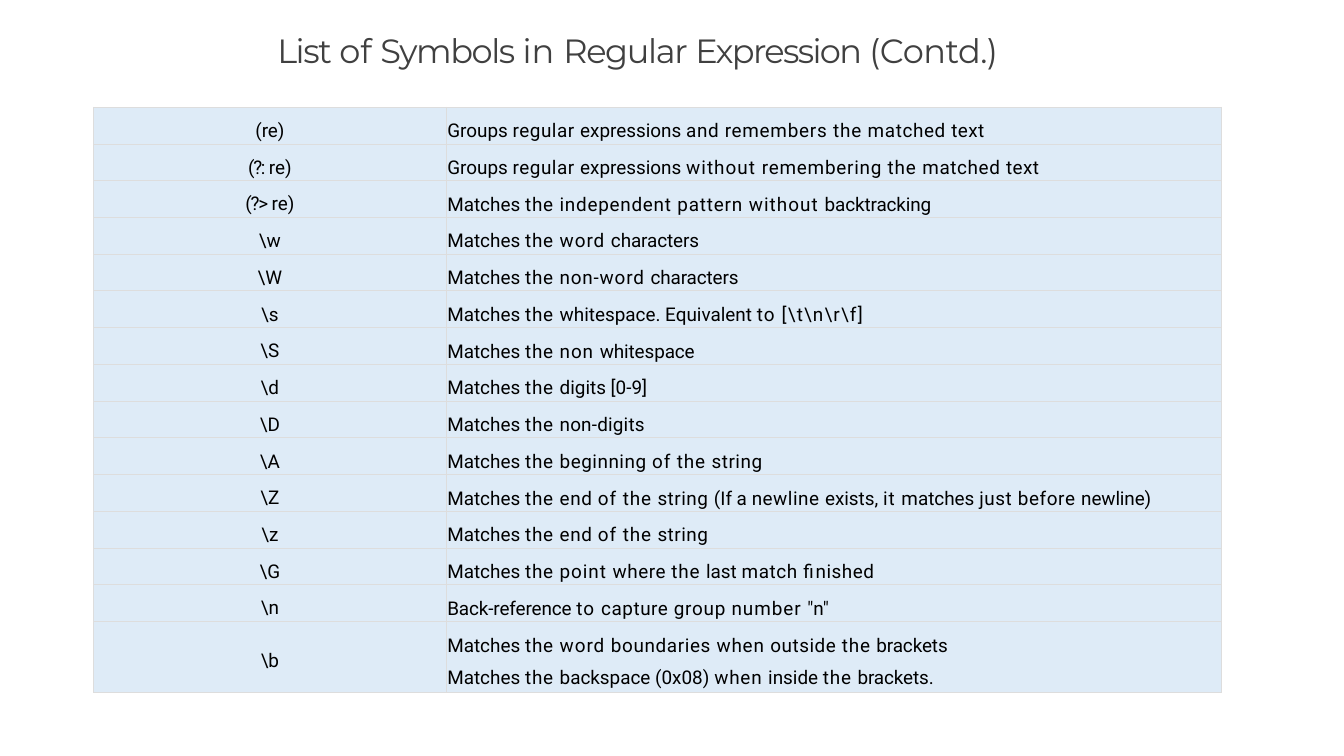
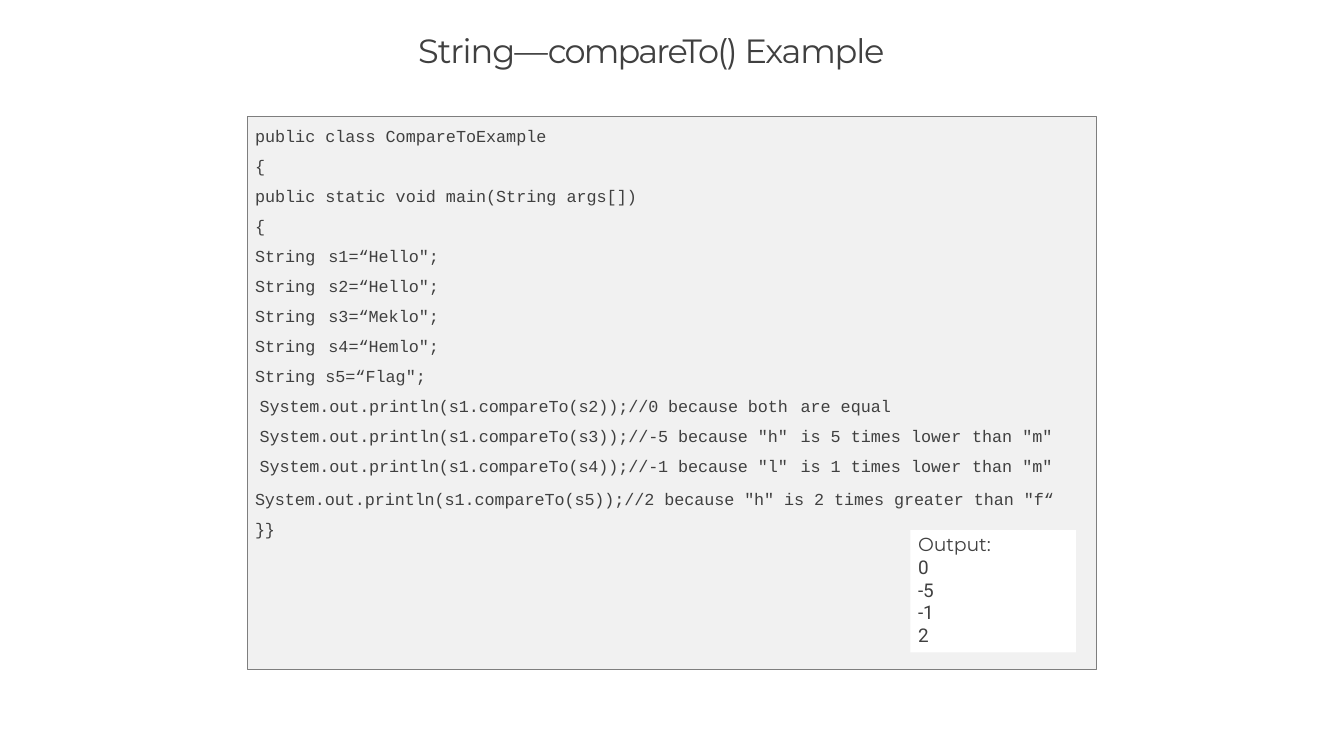
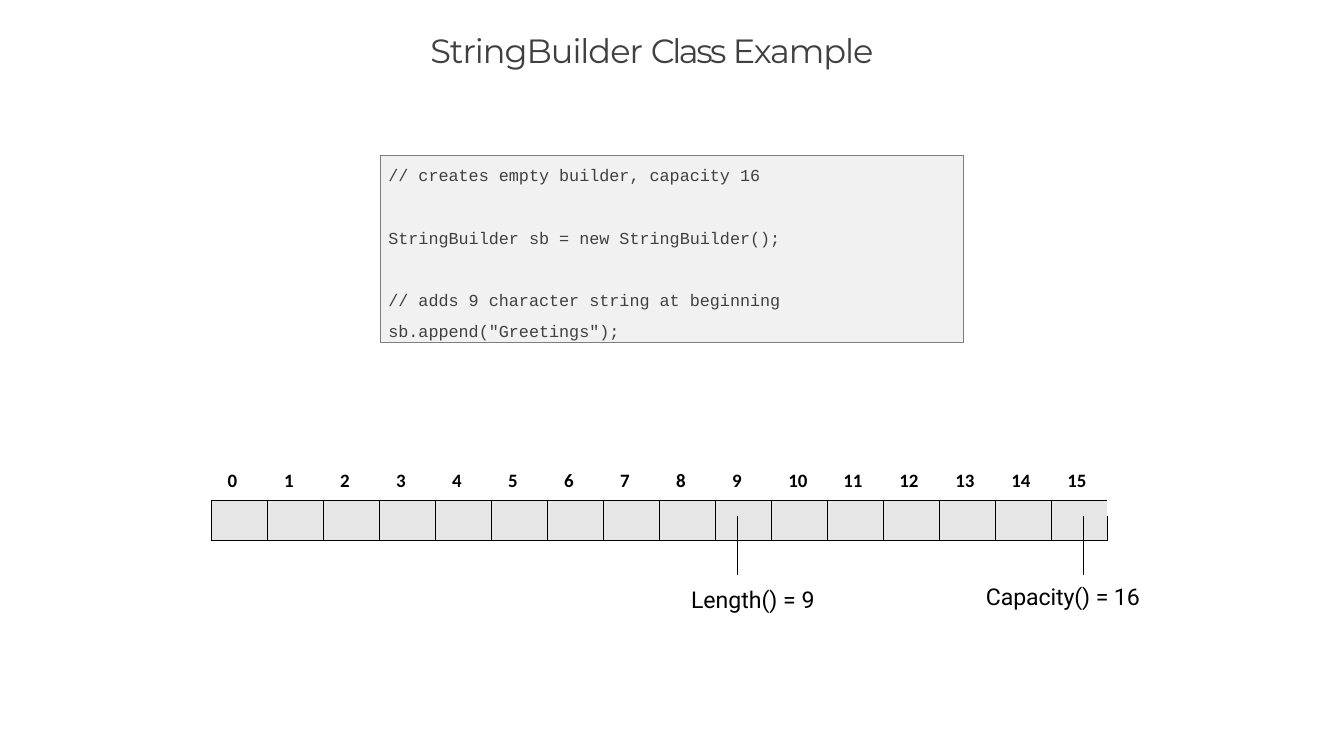
from itertools import groupby

from lxml.etree import SubElement, fromstring
from pptx import Presentation
from pptx.dml.color import RGBColor
from pptx.enum.shapes import MSO_SHAPE as SHAPE
from pptx.enum.text import MSO_ANCHOR as ANCHOR, MSO_AUTO_SIZE as FIT, PP_ALIGN as AL
from pptx.oxml.ns import nsdecls, qn
from pptx.util import Cm, Pt

INK, BLACK, GREY, EDGE = "404040", "000000", "F1F1F1", "7E7E7E"
HEAD, BODY, CODE, DIGITS = "Montserrat", "Roboto", "Courier New", "Calibri"

TRACKING = {
    -1.2: "(?: (?>",
    -0.1: "backtracking characters whitespace brackets brackets. newline) Back-reference",
    0.2: "non-digits",
    0.4: "text",
    0.5: "regular beginning newline where string finished outside capture",
    0.6: "and matched boundaries match end just before",
    0.7: "remembers remembering independent group",
    0.8: "the pattern when non-word",
    0.9: "word of non it point number",
    1: "without",
    1.1: r"to [\t\n\r\f]",
}
WORD_SPC = {w: spc for spc, words in TRACKING.items() for w in words.split()}

SYMBOLS = [
    ("(re)", "Groups regular expressions and remembers the matched text"),
    ("(?: re)", "Groups regular expressions without remembering the matched text"),
    ("(?> re)", "Matches the independent pattern without backtracking"),
    (r"\w", "Matches the word characters"),
    (r"\W", "Matches the non-word characters"),
    (r"\s", r"Matches the whitespace. Equivalent to [\t\n\r\f]"),
    (r"\S", "Matches the non whitespace"),
    (r"\d", "Matches the digits [0-9]"),
    (r"\D", "Matches the non-digits"),
    (r"\A", "Matches the beginning of the string"),
    (r"\Z", "Matches the end of the string (If a newline exists, it matches just before newline)"),
    (r"\z", "Matches the end of the string"),
    (r"\G", "Matches the point where the last match finished"),
    (r"\n", 'Back-reference to capture group number "n"'),
    (r"\b", "Matches the word boundaries when outside the brackets",
     "Matches the backspace (0x08) when inside the brackets."),
]

WORDS = ["Hello", "Hello", "Meklo", "Hemlo"]
COMPARE_CODE = [
    "public class CompareToExample", "{",
    "public static void main(String args[])", "{",
    *([("String", 0), (" ", 2.9), (f's{i}=“{word}";', 0)] for i, word in enumerate(WORDS, 1)),
    'String s5=“Flag";',
]
COMPARE_CALLS = [
    ("System.out.println(s1.compareTo(s2));//0 because both", "are equal", ""),
    ('System.out.println(s1.compareTo(s3));//-5 because "h"', "is 5 times lower", 'than "m"'),
    ('System.out.println(s1.compareTo(s4));//-1 because "l"', "is 1 times lower", 'than "m"'),
]
BUILDER_CODE = [
    "// creates empty builder, capacity 16",
    "StringBuilder sb = new StringBuilder();",
    "// adds 9 character string at beginning",
    'sb.append("Greetings");',
]


def rgb(color):
    return RGBColor.from_string(color)


def tracked(text):
    words = text.split(" ")
    tokens = [(w + " ", WORD_SPC.get(w, 0)) for w in words[:-1]]
    tokens.append((words[-1], WORD_SPC.get(words[-1], 0)))
    return [("".join(t for t, _ in run), spc)
            for spc, run in groupby(tokens, key=lambda token: token[1])]


def write(tf, paras, font=BODY, size=18, color=BLACK, bold=False, spc=0,
          align=AL.LEFT, indent=0, line=None, before=()):
    for i, runs in enumerate(paras):
        p = tf.paragraphs[0] if i == 0 else tf.add_paragraph()
        p.alignment = align
        p.space_before = Pt(before[i] if before else 0)
        if line:
            p.line_spacing = Pt(line)
        pPr = p._p.get_or_add_pPr()
        pPr.set("marL", str(Cm(indent)))
        pPr.set("indent", "0")
        for text, run_spc in [(runs, spc)] if isinstance(runs, str) else runs:
            r = p.add_run()
            r.text = text
            r.font.name, r.font.size, r.font.bold = font, Pt(size), bold
            r.font.color.rgb = rgb(color)
            r._r.get_or_add_rPr().set("spc", str(round(run_spc * 100)))
    return tf


def set_borders(cell, color, widths):
    tcPr = cell._tc.get_or_add_tcPr()
    for i, (side, width) in enumerate(zip("LRTB", widths)):
        paint = (f'<a:solidFill><a:srgbClr val="{color}"/></a:solidFill>'
                 if color and width else "<a:noFill/>")
        tcPr.insert(i, fromstring(
            f'<a:ln{side} {nsdecls("a")} w="{Pt(width)}">{paint}</a:ln{side}>'))


class Deck:
    def __init__(self):
        self.prs = Presentation()
        self.prs.slide_width, self.prs.slide_height = Cm(45.16), Cm(25.4)
        self.slide = None

    def new_slide(self, runs, x=8.51, w=28.17, h=1.65, indent=0):
        self.slide = self.prs.slides.add_slide(self.prs.slide_layouts[5])
        sp = self.slide.shapes.title
        sp.left, sp.top, sp.width, sp.height = Cm(x), Cm(0.97), Cm(w), Cm(h)
        write(self.frame(sp, 0.03), [runs], font=HEAD, size=32, color=INK, indent=indent)

    def frame(self, sp, top):
        tf = sp.text_frame
        tf.word_wrap, tf.auto_size, tf.vertical_anchor = True, FIT.NONE, ANCHOR.TOP
        tf.margin_left = tf.margin_right = tf.margin_bottom = 0
        tf.margin_top = Cm(top)
        return tf

    def text(self, x, y, w, h, paras, top=0.03, **fmt):
        sp = self.slide.shapes.add_textbox(Cm(x), Cm(y), Cm(w), Cm(h))
        return write(self.frame(sp, top), paras, **fmt)

    def box(self, x, y, w, h, fill, edge=None, paras=(), top=0, **fmt):
        sp = self.slide.shapes.add_shape(SHAPE.RECTANGLE, Cm(x), Cm(y), Cm(w), Cm(h))
        sp.shadow.inherit = False
        sp.fill.solid()
        sp.fill.fore_color.rgb = rgb(fill)
        if edge:
            sp.line.color.rgb = rgb(edge)
            sp.line.width = Pt(0.72)
        else:
            sp.line.fill.background()
        return write(self.frame(sp, top), paras, **fmt)

    def table(self, x, y, cols, rows, border=None, fill_at=lambda i: None,
              widths_at=lambda i, j: [0.75] * 4):
        table = self.slide.shapes.add_table(
            len(rows), len(cols), Cm(x), Cm(y), Cm(sum(cols)), Cm(sum(rows))).table
        table.first_row = table.horz_banding = False
        for col, w in zip(table.columns, cols):
            col.width = Cm(w)
        for i, (row, h) in enumerate(zip(table.rows, rows)):
            row.height = Cm(h)
            for j, cell in enumerate(row.cells):
                cell.margin_left = cell.margin_right = cell.margin_top = cell.margin_bottom = 0
                if fill_at(i):
                    cell.fill.solid()
                    cell.fill.fore_color.rgb = rgb(fill_at(i))
                else:
                    cell.fill.background()
                set_borders(cell, border, widths_at(i, j))
        return table


def symbols_slide(deck):
    deck.new_slide([("List ", -1.4), ("of ", -0.1), ("Symbols ", -1.4), ("in ", 0),
                    ("Regular ", -1.3), ("Expression ", -1.6), ("(Contd.)", -0.5)], indent=0.81)
    last = 2.38
    rows = [(19.66 - last) / 14] * 14 + [last]
    table = deck.table(3.15, 3.6, [11.84, 26.06], rows, "DDDDDD", lambda i: "DEEBF7")
    for i, (symbol, *notes) in enumerate(SYMBOLS):
        left, right = table.cell(i, 0), table.cell(i, 1)
        left.margin_top = Cm(0.97 if len(notes) > 1 else 0.45)
        right.margin_top = Cm(0.46)
        write(left.text_frame, [tracked(symbol)], align=AL.CENTER, line=20.6)
        write(right.text_frame, [tracked(n) for n in notes], indent=0.04, line=20.6,
              before=(0, 10.8))


def compare_slide(deck):
    code = dict(font=CODE, size=16, color=INK)
    deck.new_slide([("String—", -1), ("compareTo() ", -1.8), ("Example", -1.2)], indent=5.54)
    deck.box(8.31, 3.9, 28.52, 18.6, GREY, EDGE)
    deck.text(8.53, 3.84, 12.95, 9.22, COMPARE_CODE, top=0.06, line=28.6, indent=0.04, **code)
    table = deck.table(8.48, 13.46, [18.24, 5.77, 2.97], [0.84, 1.02, 0.84],
                       fill_at=lambda i: GREY)
    formats = [dict(align=AL.CENTER, spc=-0.08), dict(indent=0.18),
               dict(align=AL.CENTER, indent=0.08)]
    for i, call in enumerate(COMPARE_CALLS):
        for j, part in enumerate(call):
            cell = table.cell(i, j)
            cell.margin_top = Cm(0.09 if i else 0)
            write(cell.text_frame, [part], line=None if i else 16.5, **formats[j], **code)
    deck.text(8.53, 16.38, 27.23, 0.74,
              ['System.out.println(s1.compareTo(s5));//2 because "h" is 2 times greater than "f“'],
              indent=0.04, spc=-0.05, **code)
    deck.text(8.53, 17.4, 0.76, 0.74, ["}}"], indent=0.04, spc=-0.2, **code)
    tf = deck.box(30.59, 17.81, 5.56, 4.11, "FFFFFF", paras=["Output:", "0", "-5", "-1", "2"],
                  top=0.07, color=INK, indent=0.26, line=21.8, spc=-0.1)
    tf.paragraphs[0].runs[0].font.name = HEAD


def builder_slide(deck):
    deck.new_slide([("StringBuilder ", -1), ("Class ", -2.4), ("Example", -1.1)],
                   x=14.43, w=16.33, h=1.42, indent=0.03)
    deck.box(12.79, 5.23, 19.58, 6.27, GREY, EDGE, BUILDER_CODE, font=CODE, size=16, color=INK,
             indent=0.26, line=28, before=(0, 31.4, 31.4, 1.7))
    step = 30.11 / 16
    length, capacity = 0.74, 1.08
    slots = ([step] * 9 + [length, step - length] + [step] * 5 + [capacity, step - capacity])
    splits = (9, 16)

    def seam(i, j):
        if j - 1 in splits:
            return 0.5 if i else 0
        return 0 if i == 2 else 1

    def slot_borders(i, j):
        inside = j in splits or j - 1 in splits
        bottom = i == 1 or (i == 0 and not inside)
        return seam(i, j), seam(i, j + 1), int(i != 1), int(bottom)

    grid = deck.table(7.11, 16.81, slots, [0.54, 0.81, 1.15], BLACK,
                      lambda i: "E7E6E6" if i < 2 else None, slot_borders)
    for cell in grid.iter_cells():
        SubElement(cell.text_frame.paragraphs[0]._p, qn("a:endParaRPr"), sz="800")
    for j in range(len(slots)):
        if j in splits:
            grid.cell(0, j).merge(grid.cell(0, j + 1))
        elif j - 1 not in splits:
            grid.cell(0, j).merge(grid.cell(1, j))
    grid.cell(2, 0).merge(grid.cell(2, 9))
    grid.cell(2, 10).merge(grid.cell(2, 16))

    labels = deck.table(7.57, 15.95, [1.2] + [step] * 9 + [2.03] + [step] * 4 + [1.35], [0.64])
    indents = {0: 0.08, 10: 0.79}
    for i in range(16):
        centred = 0 < i < 10
        write(labels.cell(0, i).text_frame, [str(i)], font=DIGITS, bold=True, line=17,
              align=AL.CENTER if centred else AL.LEFT,
              indent=0 if centred else indents.get(i, 0.61))
    deck.text(23.19, 19.63, 4.32, 0.99, ["Length() = 9"], size=22, indent=0.03)
    deck.text(33.1, 19.53, 5.33, 0.99, ["Capacity() = 16"], size=22, indent=0.03, spc=-0.08)


def main():
    deck = Deck()
    symbols_slide(deck)
    compare_slide(deck)
    builder_slide(deck)
    deck.prs.save("out.pptx")


if __name__ == "__main__":
    main()
